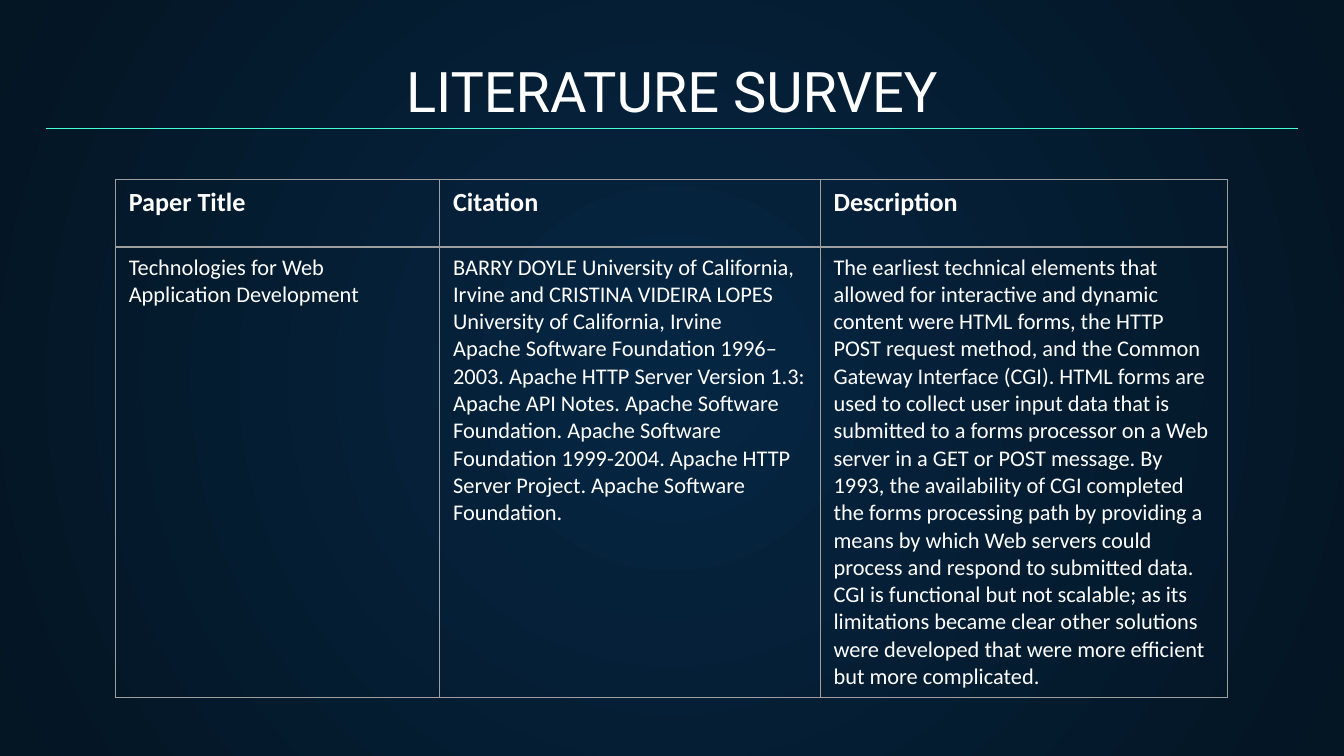
"""Build the literature survey slide with its table of papers."""
from lxml import etree
from pptx import Presentation
from pptx.dml.color import RGBColor
from pptx.enum.shapes import MSO_CONNECTOR
from pptx.enum.text import MSO_ANCHOR, MSO_AUTO_SIZE, PP_ALIGN
from pptx.oxml.ns import qn
from pptx.util import Cm, Pt

STRAIGHT = MSO_CONNECTOR.STRAIGHT
BOTTOM = MSO_ANCHOR.BOTTOM
FIXED = MSO_AUTO_SIZE.NONE
CENTER = PP_ALIGN.CENTER

TITLE = "LITERATURE SURVEY"
HEADS = ["Paper Title", "Citation", "Description"]
PAPERS = [
    [
        "Technologies for Web Application Development",
        "BARRY DOYLE University of California, Irvine and CRISTINA VIDEIRA "
        "LOPES University of California, Irvine\n"
        "Apache Software Foundation 1996–2003. Apache HTTP Server Version 1.3: "
        "Apache API Notes. Apache Software Foundation. Apache Software "
        "Foundation 1999-2004. Apache HTTP Server Project. Apache Software "
        "Foundation.",
        "The earliest technical elements that allowed for interactive and "
        "dynamic content were HTML forms, the HTTP POST request method, and "
        "the Common Gateway Interface (CGI). HTML forms are used to collect "
        "user input data that is submitted to a forms processor on a Web "
        "server in a GET or POST message. By 1993, the availability of CGI "
        "completed the forms processing path by providing a means by which "
        "Web servers could process and respond to submitted data. CGI is "
        "functional but not scalable; as its limitations became clear other "
        "solutions were developed that were more efficient but more "
        "complicated.",
    ],
]

THEME = {
    "glow": "052643", "edge": "041523", "text": "FFFFFF",
    "rule": "48FFD5", "grid": "9E9E9E",
    "display": "Roboto", "body": "Calibri",
    "title": 30, "head": 14, "cell": 12, "line": 0.75,
}
WIDTHS = [6.13, 7.19, 7.7]
HEAD_H, ROW_H = 1.27, 8.43
LEFT, TOP = 2.18, 3.4
EDGE, SPAN = 0.86, 23.68


def color(key):
    return RGBColor.from_string(THEME[key])


def style(paras, face, size, bold=False):
    for para in paras:
        for run in para.runs:
            font = run.font
            font.name, font.size, font.bold = THEME[face], Pt(THEME[size]), bold
            font.color.rgb = color("text")


def paint(slide):
    fill = slide.background.fill
    fill.gradient()
    for stop, key in zip(fill.gradient_stops, ("glow", "edge")):
        stop.color.rgb = color(key)
    grad = slide.element.find(".//" + qn("a:gradFill"))
    grad.remove(grad.find(qn("a:lin")))
    path = etree.SubElement(grad, qn("a:path"), path="circle")
    etree.SubElement(path, qn("a:fillToRect"), dict.fromkeys("ltrb", "50000"))


def add_title(slide):
    title = slide.shapes.title
    title.left, title.top = Cm(EDGE), Cm(0.91)
    title.width, title.height = Cm(SPAN), Cm(1.68)
    frame = title.text_frame
    frame.text = TITLE
    frame.auto_size, frame.vertical_anchor = FIXED, BOTTOM
    frame.margin_left = frame.margin_right = Cm(0.25)
    frame.margin_top = frame.margin_bottom = Cm(0.25)
    frame.paragraphs[0].alignment = CENTER
    style(frame.paragraphs, "display", "title")


def add_rule(slide):
    y = Cm(2.43)
    rule = slide.shapes.add_connector(STRAIGHT, Cm(EDGE), y, Cm(EDGE + SPAN), y)
    rule.line.color.rgb = color("rule")
    rule.line.width = Pt(THEME["line"])
    etree.SubElement(rule.element.spPr, qn("a:effectLst"))


def frame_cell(cell):
    cell.fill.background()
    props = cell._tc.get_or_add_tcPr()
    for spot, side in enumerate("LRTB"):
        line = etree.Element(qn("a:ln" + side), w=str(Pt(THEME["line"])))
        fill = etree.SubElement(line, qn("a:solidFill"))
        etree.SubElement(fill, qn("a:srgbClr"), val=THEME["grid"])
        props.insert(spot, line)


def add_grid(slide):
    rows = [HEADS] + PAPERS
    high = [HEAD_H] + [ROW_H] * len(PAPERS)
    table = slide.shapes.add_table(
        len(rows), len(HEADS), Cm(LEFT), Cm(TOP), Cm(sum(WIDTHS)), Cm(sum(high))
    ).table
    table.first_row = table.horz_banding = False
    for col, width in zip(table.columns, WIDTHS):
        col.width = Cm(width)
    for r, row in enumerate(rows):
        table.rows[r].height = Cm(high[r])
        for c, text in enumerate(row):
            cell = table.cell(r, c)
            cell.text_frame.text = text
            size = "cell" if r else "head"
            style(cell.text_frame.paragraphs, "body", size, r == 0)
            frame_cell(cell)


def main():
    deck = Presentation()
    deck.slide_width, deck.slide_height = Cm(25.4), Cm(14.29)
    slide = deck.slides.add_slide(deck.slide_layouts.get_by_name("Title Only"))
    paint(slide)
    add_title(slide)
    add_rule(slide)
    add_grid(slide)
    deck.save("out.pptx")


if __name__ == "__main__":
    main()
